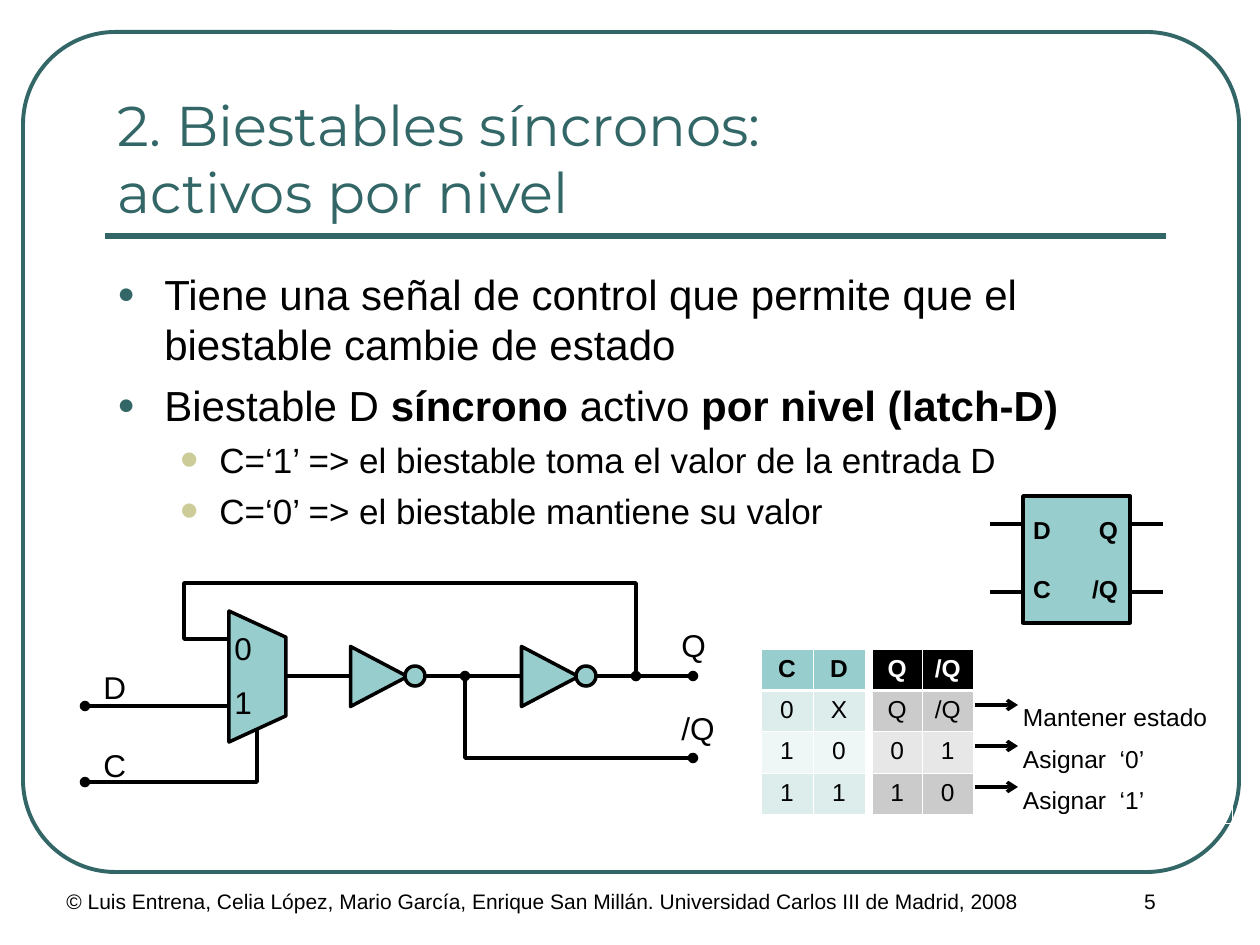
from lxml.etree import SubElement
from pptx import Presentation
from pptx.dml.color import RGBColor
from pptx.enum.shapes import MSO_CONNECTOR, MSO_SHAPE
from pptx.enum.text import MSO_ANCHOR, PP_ALIGN
from pptx.oxml.ns import qn
from pptx.util import Emu, Pt

SCALE = 914400 / 126
BLACK, WHITE, GREEN, AQUA, SAND = "000000", "FFFFFF", "336666", "97CDCC", "CCCC99"


def px(value):
    """Turn pixels into EMU."""
    return Emu(round(value * SCALE))


def color(text):
    """Turn a hex string into a colour."""
    return RGBColor.from_string(text)


def style_font(para, size, tint=BLACK, bold=False, name="Arial"):
    """Format every run of a paragraph."""
    for span in para.runs:
        span.font.size = Pt(size)
        span.font.name = name
        span.font.bold = bold
        span.font.color.rgb = color(tint)


def style_line(item, tint=BLACK, width=2, head=None, tail=None):
    """Set an outline with optional end marks and no shadow."""
    item.line.color.rgb = color(tint)
    item.line.width = Pt(width)
    properties = item.element.spPr
    outline = properties.find(qn("a:ln"))
    for tag, kind in (("a:headEnd", head), ("a:tailEnd", tail)):
        if kind:
            SubElement(outline, qn(tag), type=kind)
    if properties.find(qn("a:effectLst")) is None:
        SubElement(properties, qn("a:effectLst"))


def add_line(page, start, end, **style):
    """Draw a straight line between two points."""
    line = page.shapes.add_connector(MSO_CONNECTOR.STRAIGHT, *map(px, (*start, *end)))
    style_line(line, **style)


def add_wire(page, points, **style):
    """Draw an open bent wire through the points."""
    (left, top), *others = [(px(x), px(y)) for x, y in points]
    builder = page.shapes.build_freeform(left, top)
    builder.add_line_segments(others, close=False)
    wire = builder.convert_to_shape()
    wire.fill.background()
    style_line(wire, **style)


def add_part(page, kind, place, fill=AQUA, turn=0, **style):
    """Draw a preset shape."""
    part = page.shapes.add_shape(kind, *map(px, place))
    part.rotation = turn
    if fill:
        part.fill.solid()
        part.fill.fore_color.rgb = color(fill)
    else:
        part.fill.background()
    style_line(part, **style)
    return part


def add_label(page, place, text, size=18, align=PP_ALIGN.LEFT, gap=0):
    """Place a text box whose later paragraphs stand apart by a gap."""
    frame = page.shapes.add_textbox(*map(px, place)).text_frame
    frame.word_wrap = True
    frame.text = text
    for index, para in enumerate(frame.paragraphs):
        para.alignment = align
        para.space_before = Pt(gap if index else 0)
        style_font(para, size)


def add_title(page, text):
    """Move and format the title placeholder."""
    title = page.shapes.title
    title.left, title.top, title.width, title.height = map(px, (105, 73, 1061, 158))
    frame = title.text_frame
    frame.text = text
    frame.word_wrap = True
    frame.vertical_anchor = MSO_ANCHOR.BOTTOM
    para = frame.paragraphs[0]
    para.alignment = PP_ALIGN.LEFT
    para.line_spacing = 1.0
    style_font(para, 32, GREEN, name="Montserrat")


def set_bullet(para, mark, tint, percent, margin, hang):
    """Give a paragraph a coloured bullet and a hanging indent."""
    properties = para._p.get_or_add_pPr()
    properties.set("marL", str(px(margin)))
    properties.set("indent", str(px(-hang)))
    SubElement(SubElement(properties, qn("a:buClr")), qn("a:srgbClr"), val=tint)
    SubElement(properties, qn("a:buSzPct"), val=str(percent * 1000))
    SubElement(properties, qn("a:buFont"), typeface="Arial")
    SubElement(properties, qn("a:buChar"), char=mark)


def add_bullets(page, place, items):
    """Write bulleted paragraphs whose odd pieces are bold."""
    frame = page.shapes.add_textbox(*map(px, place)).text_frame
    frame.word_wrap = True
    for index, (level, pieces) in enumerate(items):
        para = frame.paragraphs[0] if index == 0 else frame.add_paragraph()
        para.level = level
        para.space_before = Pt(5 if level else 6)
        for piece in pieces:
            para.add_run().text = piece
        style_font(para, 20 if level else 24)
        for span in para.runs[1::2]:
            span.font.bold = True
        if level:
            set_bullet(para, "•", SAND, 150, 102, 39)
        else:
            set_bullet(para, "●", GREEN, 70, 47, 47)


def add_borders(cell, row):
    """Give a cell white borders, thicker under the header row."""
    properties = cell._tc.get_or_add_tcPr()
    for index, side in enumerate(("lnL", "lnR", "lnT", "lnB")):
        thick = (row, side) in ((0, "lnB"), (1, "lnT"))
        border = SubElement(properties, qn(f"a:{side}"), w=str(Pt(1.47 if thick else 0.45)))
        SubElement(SubElement(border, qn("a:solidFill")), qn("a:srgbClr"), val=WHITE)
        properties.insert(index, border)


def add_grid(page, place, rows, fills=None, head_tint=BLACK, align=PP_ALIGN.CENTER):
    """Build a table with one fill per row."""
    grid = page.shapes.add_table(len(rows), len(rows[0]), *map(px, place)).table
    for row, values in enumerate(rows):
        for column, value in enumerate(values):
            cell = grid.cell(row, column)
            cell.margin_left = cell.margin_right = px(5)
            cell.margin_top = cell.margin_bottom = px(6)
            cell.text = value
            para = cell.text_frame.paragraphs[0]
            para.alignment = align
            style_font(para, 14, BLACK if row else head_tint, bold=row == 0)
            if fills:
                cell.fill.solid()
                cell.fill.fore_color.rgb = color(fills[row])
            else:
                cell.fill.background()
            add_borders(cell, row)


def add_circuit(page):
    """Draw the multiplexer, the two inverters and their wiring."""
    add_part(page, MSO_SHAPE.FLOWCHART_MANUAL_OPERATION, (192, 648, 131, 57), turn=270)
    add_line(page, (285, 676), (693, 676), tail="oval")
    for left in (349, 520):
        add_part(page, MSO_SHAPE.ISOSCELES_TRIANGLE, (left, 648, 60, 57), turn=90)
        add_part(page, MSO_SHAPE.OVAL, (left + 56, 666, 20, 20))
    add_wire(page, [(465, 676), (465, 758), (693, 758)], head="oval", tail="oval")
    add_wire(page, [(636, 676), (636, 583), (184, 583), (184, 639), (228, 639)], head="oval")
    add_line(page, (85, 706), (228, 706), head="oval")
    add_wire(page, [(257, 728), (257, 782), (85, 782)], tail="oval")
    add_label(page, (222, 623, 50, 103), "0\n1", gap=9)
    for text, left, top, width in (("D", 91, 662, 56), ("C", 91, 740, 56),
                                   ("Q", 669, 620, 56), ("/Q", 669, 703, 72)):
        add_label(page, (left, top, width, 50), text)


def add_symbol(page):
    """Draw the latch block with its four pins."""
    block = add_part(page, MSO_SHAPE.RECTANGLE, (1023, 496, 107, 127))
    frame = block.text_frame
    frame.word_wrap = True
    frame.vertical_anchor = MSO_ANCHOR.MIDDLE
    frame.margin_left = frame.margin_right = px(10)
    frame.text = "D\tQ\nC\t/Q"
    for index, para in enumerate(frame.paragraphs):
        para.alignment = PP_ALIGN.LEFT
        para.space_before = Pt(17 * index)
        stops = SubElement(para._p.get_or_add_pPr(), qn("a:tabLst"))
        SubElement(stops, qn("a:tab"), pos=str(px(85)), algn="r")
        style_font(para, 14, bold=True)
    for top in (524, 592):
        for left in (990, 1130):
            add_line(page, (left, top), (left + 33, top))


def add_truth_table(page):
    """Place the input, output and meaning tables with their arrows."""
    add_grid(page, (761, 649, 104, 157), ["CD", "0X", "10", "11"],
             [AQUA, "DDEDEC", "EFF6F6", "DDEDEC"])
    add_grid(page, (872, 649, 101, 157), [("Q", "/Q"), ("Q", "/Q"), "01", "10"],
             [BLACK, "CBCBCB", "E7E7E7", "CBCBCB"], head_tint=WHITE)
    for top in (705, 746, 787):
        add_line(page, (975, top), (1018, top), tail="arrow")
    add_grid(page, (1018, 649, 214, 157),
             [("",), ("Mantener estado",), ("Asignar  ‘0’",), ("Asignar  ‘1’",)],
             align=PP_ALIGN.LEFT)


def main():
    """Build the slide and save it."""
    deck = Presentation()
    deck.slide_width, deck.slide_height = px(1260), px(945)
    page = deck.slides.add_slide(deck.slide_layouts[5])
    border = add_part(page, MSO_SHAPE.ROUNDED_RECTANGLE, (23, 32, 1216, 840),
                      fill=None, tint=GREEN, width=2.25)
    border.adjustments[0] = 0.11
    add_line(page, (105, 236), (1166, 236), tint=GREEN, width=3)
    add_title(page, "2. Biestables síncronos:\vactivos por nivel")
    add_bullets(page, (105, 262, 1061, 301), [
        (0, ["Tiene una señal de control que permite que el biestable cambie de estado"]),
        (0, ["Biestable D ", "síncrono", " activo ", "por nivel (latch-D)"]),
        (1, ["C=‘1’ => el biestable toma el valor de la entrada D"]),
        (1, ["C=‘0’ => el biestable mantiene su valor"])])
    add_label(page, (54, 882, 1071, 63), "© Luis Entrena, Celia López, Mario García, "
              "Enrique San Millán. Universidad Carlos III de Madrid, 2008", 12)
    add_label(page, (1040, 882, 220, 63), "5", 12, align=PP_ALIGN.CENTER)
    add_circuit(page)
    add_truth_table(page)
    add_symbol(page)
    deck.save("out.pptx")


if __name__ == "__main__":
    main()
